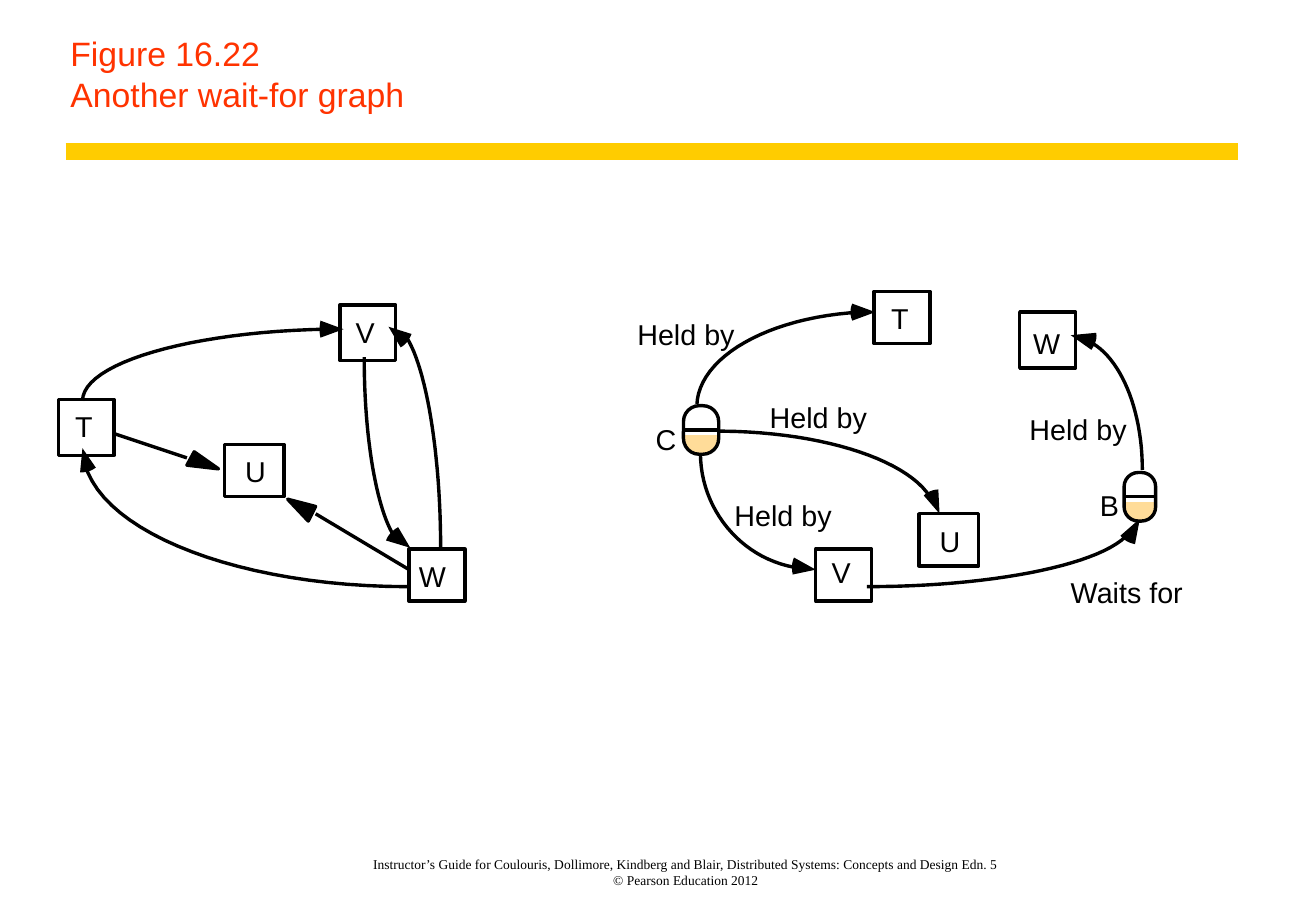
from lxml import etree
from pptx import Presentation
from pptx.dml.color import RGBColor
from pptx.enum.shapes import MSO_CONNECTOR, MSO_SHAPE
from pptx.enum.text import MSO_ANCHOR, MSO_AUTO_SIZE, PP_ALIGN
from pptx.oxml.ns import qn
from pptx.util import Inches, Pt

STRAIGHT = MSO_CONNECTOR.STRAIGHT
RECTANGLE = MSO_SHAPE.RECTANGLE
ROUNDED = MSO_SHAPE.ROUNDED_RECTANGLE
LEFT, CENTER = PP_ALIGN.LEFT, PP_ALIGN.CENTER
TOP, BOTTOM = MSO_ANCHOR.TOP, MSO_ANCHOR.BOTTOM
NO_AUTOFIT = MSO_AUTO_SIZE.NONE

COLORS = {"ink": "000000", "paper": "FFFFFF", "title": "FF3300",
          "rule": "FFCC00", "resource": "FFDC99"}

# text, left, top, width, height, text inset from left, text inset from top
TRANSACTIONS = [
    ("T", 0.48, 3.29, 0.46, 0.46, 0.14, 0.08),
    ("U", 1.85, 3.66, 0.49, 0.43, 0.17, 0.08),
    ("V", 2.8, 2.51, 0.46, 0.46, 0.13, 0.08),
    ("W", 3.37, 4.52, 0.46, 0.43, 0.08, 0.08),
    ("T", 7.2, 2.4, 0.46, 0.43, 0.14, 0.08),
    ("U", 7.57, 4.23, 0.49, 0.43, 0.17, 0.08),
    ("V", 6.72, 4.52, 0.46, 0.43, 0.13, 0.05),
    ("W", 8.4, 2.57, 0.46, 0.46, 0.11, 0.11),
]

LABELS = [
    ("C", 5.4, 3.47, 0.17), ("B", 9.06, 4.02, 0.16),
    ("Held by", 5.25, 2.61, 0.8), ("Held by", 6.34, 3.29, 0.8),
    ("Held by", 6.05, 4.1, 0.8), ("Held by", 8.48, 3.39, 0.8),
    ("Waits for", 8.82, 4.73, 0.93),
]

# shaft Bezier points, back edge of the head as Bezier points, tip of the head
CURVED_ARROWS = [
    ([(0.68, 3.3), (0.68, 2.99), (1.57, 2.73), (2.7, 2.71)],
     [(2.64, 2.78), (2.63, 2.74), (2.63, 2.69), (2.64, 2.64)], (2.83, 2.71)),
    ([(3.36, 4.83), (2, 4.83), (0.86, 4.4), (0.7, 3.82)],
     [(0.79, 3.85), (0.75, 3.88), (0.71, 3.89), (0.66, 3.89)], (0.68, 3.69)),
    ([(3.63, 4.52), (3.63, 3.73), (3.51, 3.03), (3.35, 2.78)],
     [(3.39, 2.75), (3.37, 2.8), (3.34, 2.84), (3.3, 2.86)], (3.2, 2.69)),
    ([(3, 2.94), (3, 3.6), (3.1, 4.19), (3.25, 4.42)],
     [(3.18, 4.45), (3.2, 4.4), (3.23, 4.37), (3.28, 4.34)], (3.38, 4.51)),
    ([(5.74, 3.34), (5.75, 2.94), (6.33, 2.61), (7.09, 2.57)],
     [(7.02, 2.64), (7, 2.59), (7, 2.55), (7.02, 2.5)], (7.21, 2.57)),
    ([(5.85, 3.55), (6.71, 3.54), (7.46, 3.77), (7.66, 4.09)],
     [(7.61, 4.08), (7.64, 4.05), (7.69, 4.03), (7.73, 4.03)], (7.74, 4.23)),
    ([(5.77, 3.73), (5.77, 4.19), (6.1, 4.59), (6.54, 4.67)],
     [(6.53, 4.73), (6.52, 4.68), (6.52, 4.64), (6.54, 4.59)], (6.72, 4.69)),
    ([(9.41, 3.87), (9.41, 3.37), (9.23, 2.94), (8.97, 2.81)],
     [(9.03, 2.74), (9.04, 2.79), (9.02, 2.84), (8.99, 2.88)], (8.82, 2.76)),
    ([(7.14, 4.83), (8.14, 4.83), (9.02, 4.66), (9.27, 4.42)],
     [(9.35, 4.48), (9.3, 4.47), (9.26, 4.45), (9.23, 4.41)], (9.39, 4.27)),
]

STRAIGHT_ARROWS = [
    ((0.94, 3.57), (1.54, 3.77), [(1.6, 3.72), (1.8, 3.86), (1.54, 3.83)]),
    ((3.37, 4.69), (2.6, 4.23), [(2.54, 4.29), (2.37, 4.11), (2.6, 4.17)]),
]

RESOURCES = [(5.63, 3.34, 0.29), (9.26, 3.89, 0.26)]


def bezier(points, steps=24):
    curve = []
    for step in range(steps + 1):
        t = step / steps
        weights = ((1 - t) ** 3, 3 * t * (1 - t) ** 2, 3 * t * t * (1 - t), t ** 3)
        curve.append(tuple(sum(w * p[axis] for w, p in zip(weights, points))
                           for axis in (0, 1)))
    return curve


class FigurePage:
    def __init__(self, page):
        self.page = page
        self.font = "Arial"
        self.label_size = 17
        self.line_width = 2

    def color(self, name):
        return RGBColor.from_string(COLORS[name])

    def style(self, shape, fill=None, line=None):
        shape.shadow.inherit = False
        if fill:
            shape.fill.solid()
            shape.fill.fore_color.rgb = self.color(fill)
        else:
            shape.fill.background()
        if line:
            shape.line.color.rgb = self.color(line)
            shape.line.width = Pt(self.line_width)
        else:
            shape.line.fill.background()

    def set_text(self, shape, lines, size, color="ink", font=None, align=LEFT,
                 anchor=TOP, margins=(0, 0, 0, 0), wrap=True):
        frame = shape.text_frame
        frame.auto_size = NO_AUTOFIT
        frame.word_wrap = wrap
        frame.vertical_anchor = anchor
        (frame.margin_left, frame.margin_top,
         frame.margin_right, frame.margin_bottom) = map(Inches, margins)
        para = frame.paragraphs[0]
        para.alignment = align
        for index, line in enumerate(lines):
            if index:
                para.add_line_break()
            span = para.add_run()
            span.text = line
            span.font.size = Pt(size)
            span.font.name = font or self.font
            span.font.color.rgb = self.color(color)

    def title(self, lines):
        box = self.page.shapes.title
        box.left, box.top, box.width, box.height = map(Inches, (0.48, 0, 9.72, 1))
        self.set_text(box, lines, 20, "title", anchor=BOTTOM,
                      margins=(0.1, 0.06, 0.14, 0.06))

    def text(self, lines, left, top, width, height, size, **options):
        box = self.page.shapes.add_textbox(*map(Inches, (left, top, width, height)))
        self.set_text(box, lines, size, **options)

    def shape(self, kind, left, top, width, height, fill=None, line=None):
        shape = self.page.shapes.add_shape(
            kind, *map(Inches, (left, top, width, height)))
        self.style(shape, fill, line)
        return shape

    def line(self, start, end, color="ink", width=None):
        line = self.page.shapes.add_connector(STRAIGHT, *map(Inches, start + end))
        line.line.color.rgb = self.color(color)
        line.line.width = Pt(width or self.line_width)
        etree.SubElement(line._element.spPr, qn("a:effectLst"))

    def outline(self, points, close, fill=None, line=None):
        corners = [(Inches(x), Inches(y)) for x, y in points]
        builder = self.page.shapes.build_freeform(*corners[0], scale=1.0)
        builder.add_line_segments(corners[1:], close=close)
        self.style(builder.convert_to_shape(), fill, line)

    def transaction(self, name, left, top, width, height, inset_left, inset_top):
        box = self.shape(RECTANGLE, left, top, width, height, "paper", "ink")
        self.set_text(box, [name], self.label_size,
                      margins=(inset_left, inset_top, 0, 0))

    def curved_arrow(self, shaft, back, tip):
        self.outline(bezier(shaft), False, line="ink")
        self.outline(bezier(back, 6) + [tip], True, fill="ink")

    def straight_arrow(self, start, end, head):
        self.line(start, end)
        self.outline(head, True, "ink", "ink")

    def resource(self, left, top, width):
        for fill, line in (("resource", None), (None, "ink")):
            capsule = self.shape(ROUNDED, left, top, width, 0.4, fill, line)
            capsule.adjustments[0] = 0.45
            if fill:
                self.shape(RECTANGLE, left, top, width, 0.23, "paper", "paper")
        self.line((left, top + 0.2), (left + width, top + 0.2))


def main():
    deck = Presentation()
    deck.slide_width, deck.slide_height = Inches(10.84), Inches(7.5)
    figure = FigurePage(deck.slides.add_slide(deck.slide_layouts[5]))
    figure.text(["Instructor’s Guide for Coulouris, Dollimore, Kindberg and Blair, "
                 "Distributed Systems: Concepts and Design Edn. 5",
                 "© Pearson Education 2012"],
                2.35, 6.92, 6.6, 0.39, 8, font="Times New Roman",
                align=CENTER, anchor=BOTTOM, margins=(0.04, 0, 0.04, 0))
    figure.line((0.54, 1.25), (10.2, 1.25), "rule", 10)
    figure.title(["Figure 16.22", "Another wait-for graph"])
    for transaction in TRANSACTIONS:
        figure.transaction(*transaction)
    for arrow in CURVED_ARROWS:
        figure.curved_arrow(*arrow)
    for arrow in STRAIGHT_ARROWS:
        figure.straight_arrow(*arrow)
    for resource in RESOURCES:
        figure.resource(*resource)
    for name, left, top, width in LABELS:
        figure.text([name], left, top, width, 0.28, figure.label_size, wrap=False)
    deck.save("out.pptx")


if __name__ == "__main__":
    main()
